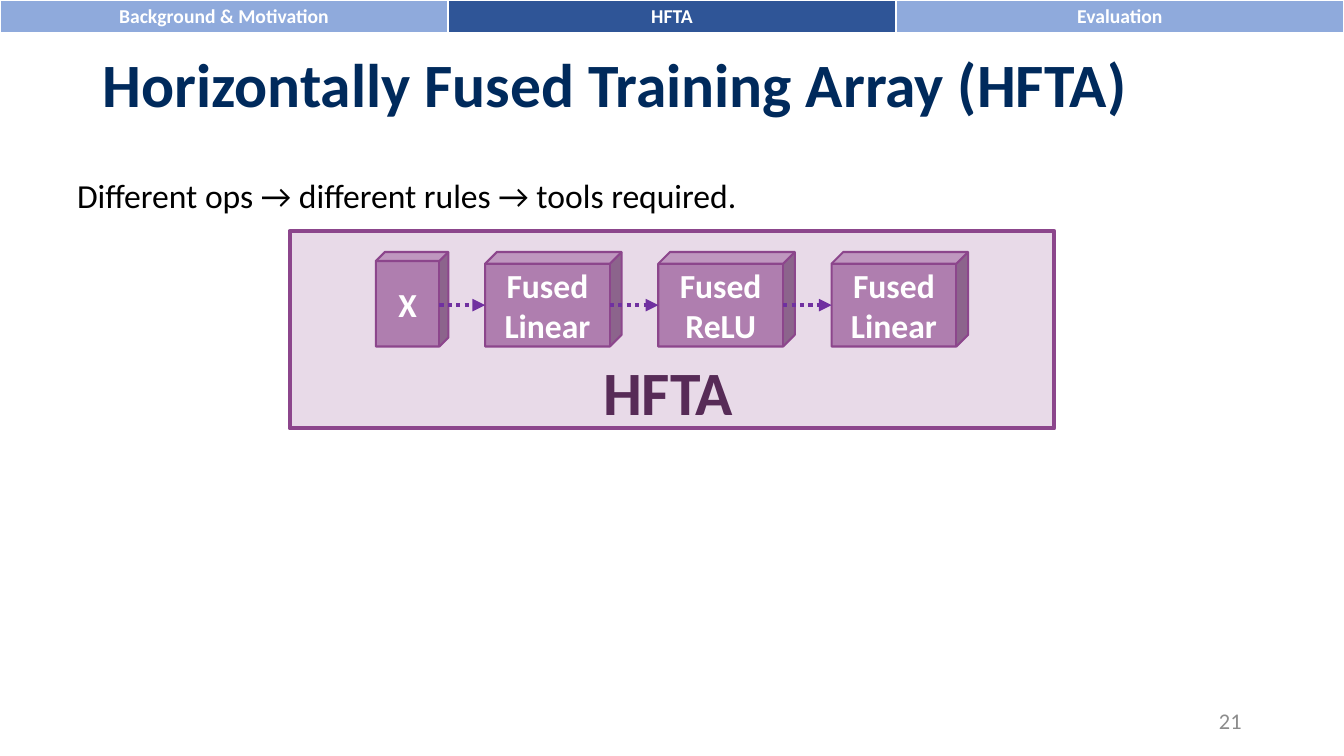
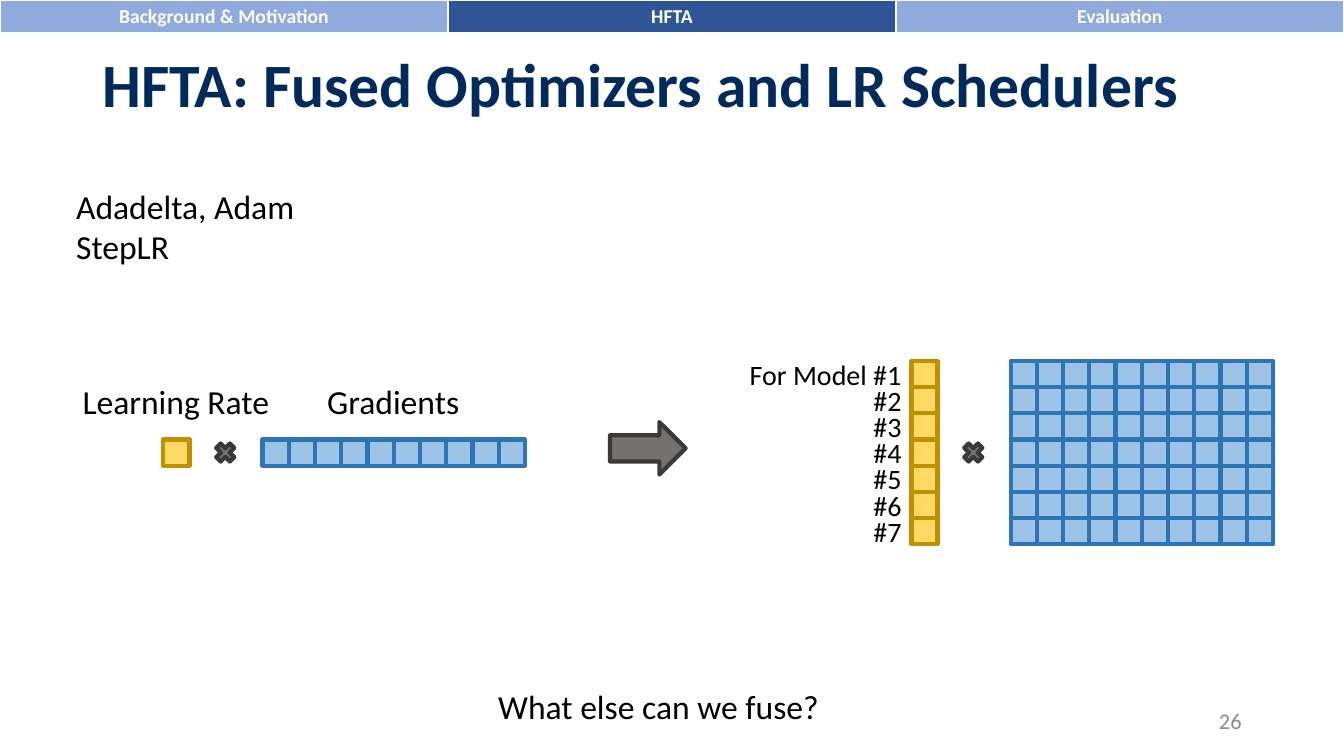
from dataclasses import dataclass

from lxml import etree
from pptx import Presentation
from pptx.dml.color import RGBColor
from pptx.enum.dml import MSO_LINE
from pptx.enum.shapes import MSO_CONNECTOR, MSO_SHAPE
from pptx.enum.text import MSO_ANCHOR, PP_ALIGN
from pptx.oxml.ns import qn
from pptx.util import Inches, Pt

LEFT, CENTER, RIGHT = PP_ALIGN.LEFT, PP_ALIGN.CENTER, PP_ALIGN.RIGHT
TOP, MIDDLE = MSO_ANCHOR.TOP, MSO_ANCHOR.MIDDLE
RECTANGLE, CUBE = MSO_SHAPE.RECTANGLE, MSO_SHAPE.CUBE
TIMES, RIGHT_ARROW = MSO_SHAPE.MATH_MULTIPLY, MSO_SHAPE.RIGHT_ARROW
STRAIGHT, DOTTED = MSO_CONNECTOR.STRAIGHT, MSO_LINE.ROUND_DOT

COLUMNS, ROWS = 128, 72
SLIDE_WIDTH, SLIDE_HEIGHT = Inches(40 / 3), Inches(7.5)
SECTIONS = ("Background & Motivation", "HFTA", "Evaluation")
CELL = 2.5
CUBE_DEPTH = 0.124


@dataclass(frozen=True)
class Theme:
    font: str = "Calibri"
    title_size: int = 44
    body_size: int = 24
    label_size: int = 20
    number_size: int = 16
    tab_size: int = 14
    title: str = "002A5C"
    text: str = "000000"
    number: str = "8C8C8C"
    white: str = "FFFFFF"
    tab: str = "8FAADC"
    active_tab: str = "2F5597"
    panel: tuple = ("E8DAE8", "8C468C", 3)
    operator: tuple = ("AF7EAF", "8C468C", 1.5)
    gradient: tuple = ("9DC3E6", "2E75B6", 3)
    rate: tuple = ("FFD966", "BF9000", 3)
    symbol: tuple = ("767171", "3B3838", 3)
    panel_text: str = "572B57"
    flow: str = "7030A0"


@dataclass(frozen=True)
class Box:
    left: float
    top: float
    width: float
    height: float

    def inner(self, left, top, width, height):
        return Box(self.left + left, self.top + top, width, height)

    def emu(self):
        return (across(self.left), down(self.top),
                across(self.width), down(self.height))


THEME = Theme()


def across(columns):
    return round(SLIDE_WIDTH * columns / COLUMNS)


def down(rows):
    return round(SLIDE_HEIGHT * rows / ROWS)


def rgb(value):
    return RGBColor.from_string(value)


def write(frame, text, size, color, bold=False, align=LEFT):
    frame.text = text
    for para in frame.paragraphs:
        para.alignment = align
        for span in para.runs:
            font = span.font
            font.name, font.size, font.bold = THEME.font, Pt(size), bold
            font.color.rgb = rgb(color)


def add_text(page, box, text, size=THEME.body_size, color=THEME.text,
             bold=False, align=LEFT, anchor=TOP):
    frame = page.shapes.add_textbox(*box.emu()).text_frame
    frame.word_wrap = True
    frame.vertical_anchor = anchor
    write(frame, text, size, color, bold, align)
    return frame


def add_block(page, kind, box, style):
    fill, line, weight = style
    shape = page.shapes.add_shape(kind, *box.emu())
    shape.shadow.inherit = False
    shape.fill.solid()
    shape.fill.fore_color.rgb = rgb(fill)
    shape.line.color.rgb = rgb(line)
    shape.line.width = Pt(weight)
    return shape


def add_flow_arrow(page, start, end, row):
    arrow = page.shapes.add_connector(
        STRAIGHT, across(start), down(row), across(end), down(row))
    arrow.line.color.rgb = rgb(THEME.flow)
    arrow.line.width = Pt(3)
    arrow.line.dash_style = DOTTED
    outline = arrow.line._get_or_add_ln()
    etree.SubElement(outline, qn("a:tailEnd"), type="triangle")
    etree.SubElement(arrow._element.spPr, qn("a:effectLst"))


def add_cell_borders(cell):
    properties = cell._tc.get_or_add_tcPr()
    for side, weight in (("L", 1), ("R", 1), ("T", 1), ("B", 3)):
        border = etree.SubElement(properties, qn(f"a:ln{side}"), w=str(Pt(weight)))
        fill = etree.SubElement(border, qn("a:solidFill"))
        etree.SubElement(fill, qn("a:srgbClr"), val=THEME.white)


def add_section_tabs(page, box, active):
    table = page.shapes.add_table(1, len(SECTIONS), *box.emu()).table
    table.first_row = table.horz_banding = False
    for index, name in enumerate(SECTIONS):
        cell = table.cell(0, index)
        cell.margin_top = cell.margin_bottom = Inches(0.04)
        cell.vertical_anchor = MIDDLE
        add_cell_borders(cell)
        cell.fill.solid()
        cell.fill.fore_color.rgb = rgb(
            THEME.active_tab if name == active else THEME.tab)
        write(cell.text_frame, name, THEME.tab_size, THEME.white, True, CENTER)


def add_page(deck, title, number):
    page = deck.slides.add_slide(deck.slide_layouts[6])
    add_section_tabs(page, Box(0, 0, COLUMNS, 3.2), "HFTA")
    heading = add_text(page, Box(8.8, 1.4, 110.4, 13.9), title,
                       THEME.title_size, THEME.title, True, anchor=MIDDLE)
    heading.paragraphs[0].line_spacing = 0.9
    add_text(page, Box(90.4, 66.7, 28.8, 3.9), str(number),
             THEME.number_size, THEME.number, align=RIGHT, anchor=MIDDLE)
    return page


def add_operator_chain(page, box, operators, gap):
    total = sum(width for _, width in operators) + gap * (len(operators) - 1)
    left = box.left + (box.width - total) / 2
    previous_face = None
    for text, width in operators:
        depth = CUBE_DEPTH * min(width, box.height)
        cube = add_block(page, CUBE, Box(left, box.top, width, box.height),
                         THEME.operator)
        cube.adjustments[0] = CUBE_DEPTH
        cube.text_frame.vertical_anchor = MIDDLE
        write(cube.text_frame, text, THEME.body_size, THEME.white, True, CENTER)
        if previous_face is not None:
            add_flow_arrow(page, previous_face, left,
                           box.top + (box.height + depth) / 2)
        previous_face = left + width - depth
        left += width + gap


def add_array_panel(page, box):
    add_block(page, RECTANGLE, box, THEME.panel)
    add_text(page, box.inner(28.9, 11.2, 15, 8.1), "HFTA",
             THEME.title_size, THEME.panel_text, True)
    operators = (("X", 6.9), ("Fused\nLinear", 13),
                 ("Fused\nReLU", 13), ("Fused\nLinear", 13))
    add_operator_chain(page, box.inner(0, 2, box.width, 9), operators, 3.5)


def add_cell_grid(page, left, top, columns, rows, style):
    for row in range(rows):
        for column in range(columns):
            add_block(page, RECTANGLE,
                      Box(left + column * CELL, top + row * CELL, CELL, CELL),
                      style)


def add_update(page, left, top, models):
    add_cell_grid(page, left, top, 1, models, THEME.rate)
    add_cell_grid(page, left + 9.45, top, 10, models, THEME.gradient)
    middle = top + (models - 1) * CELL / 2
    add_block(page, TIMES, Box(left + 4.65, middle, CELL, CELL), THEME.symbol)


def add_single_update(page, box):
    add_text(page, box.inner(0, 0, 19.9, 4.8), "Learning Rate", align=CENTER)
    add_text(page, box.inner(23, 0, 15.3, 4.8), "Gradients", align=CENTER)
    add_update(page, box.left + 8.75, box.top + box.height - CELL, 1)


def add_fused_update(page, box, models):
    label_width = 16.4
    add_update(page, box.left + label_width, box.top, models)
    for index in range(models):
        prefix = "" if index else "For Model "
        add_text(page, box.inner(0, index * CELL - 0.85, label_width, 4.2),
                 f"{prefix}#{index + 1}", THEME.label_size,
                 align=RIGHT, anchor=MIDDLE)


def build_array_page(deck):
    page = add_page(deck, "Horizontally Fused Training Array (HFTA)", 21)
    add_text(page, Box(6.4, 16.2, 104.8, 4.8),
             "Different ops → different rules → tools required.")
    add_array_panel(page, Box(27.6, 22, 72.8, 18.8))


def build_optimizer_page(deck):
    page = add_page(deck, "HFTA: Fused Optimizers and LR Schedulers", 26)
    add_text(page, Box(6.3, 17.2, 33.9, 8.7), "Adadelta, Adam\nStepLR")
    add_single_update(page, Box(6.8, 35.8, 43.3, 8.55))
    add_block(page, RIGHT_ARROW, Box(58.1, 40.2, 7.2, 5), THEME.symbol)
    add_fused_update(page, Box(70.4, 34.35, 50.9, 17.5), 7)
    add_text(page, Box(46.5, 64.9, 33.3, 4.8), "What else can we fuse?")


def main():
    deck = Presentation()
    deck.slide_width, deck.slide_height = SLIDE_WIDTH, SLIDE_HEIGHT
    build_array_page(deck)
    build_optimizer_page(deck)
    deck.save("out.pptx")


if __name__ == "__main__":
    main()
